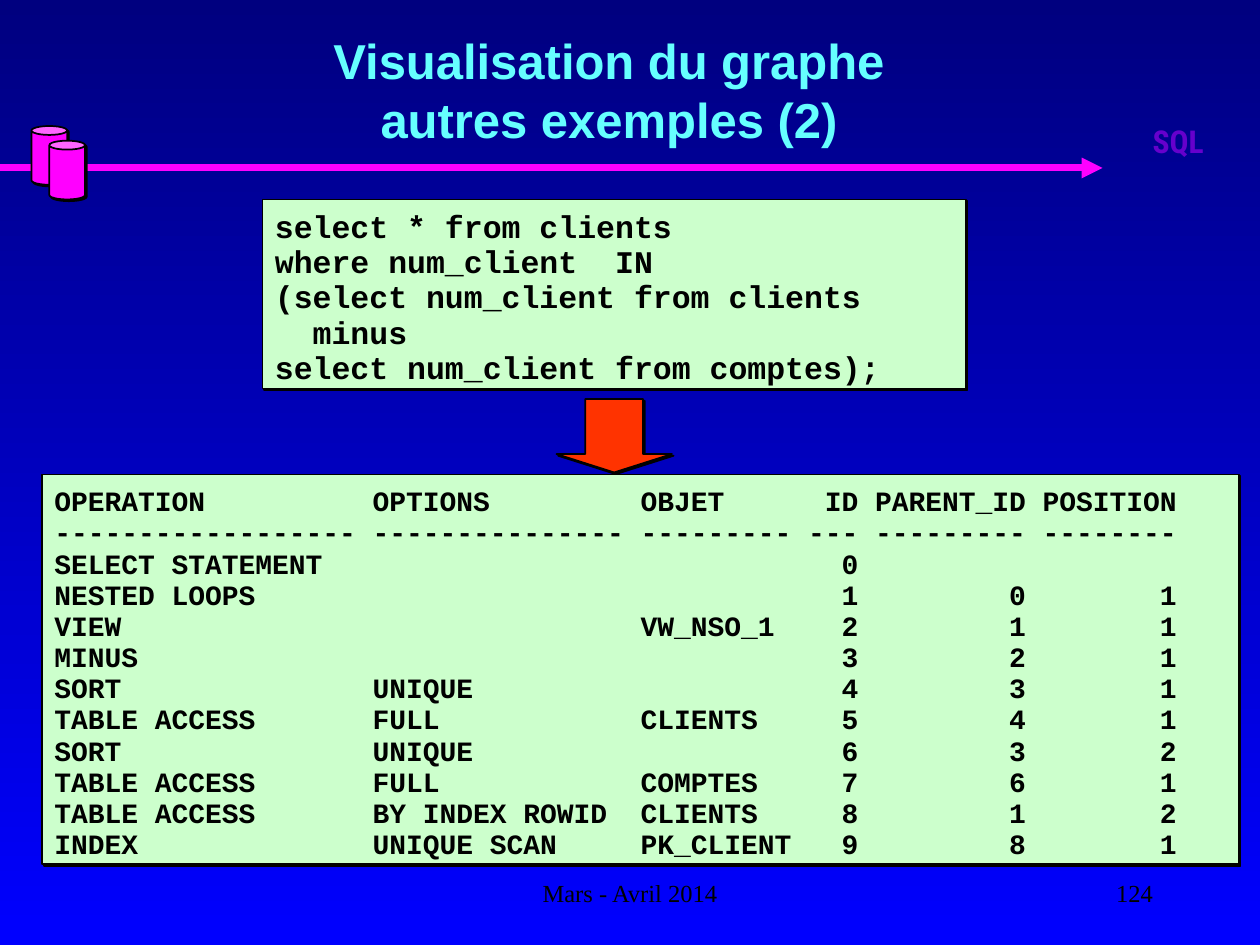
from lxml.etree import SubElement
from pptx import Presentation
from pptx.dml.color import RGBColor
from pptx.enum.shapes import MSO_CONNECTOR, MSO_SHAPE
from pptx.enum.text import MSO_ANCHOR, MSO_AUTO_SIZE, PP_ALIGN
from pptx.oxml.ns import qn
from pptx.util import Inches, Pt

COLORS = {
    "night": "00007F", "blue": "0000FF", "magenta": "FF00FF", "violet": "6600CC",
    "cyan": "66FFFF", "mint": "CCFFCC", "red": "FF3300", "black": "000000",
}
QUERY = [
    "select * from clients",
    "where num_client  IN",
    "(select num_client from clients",
    "  minus",
    "select num_client from comptes);",
]
PLAN_WIDTHS = [18, 15, 9, 3, 9, 8]
PLAN_ALIGN = "<<<>>>"
PLAN = [
    ("OPERATION", "OPTIONS", "OBJET", "ID", "PARENT_ID", "POSITION"),
    tuple("-" * width for width in PLAN_WIDTHS),
    ("SELECT STATEMENT", "", "", 0, "", ""),
    ("NESTED LOOPS", "", "", 1, 0, 1),
    ("VIEW", "", "VW_NSO_1", 2, 1, 1),
    ("MINUS", "", "", 3, 2, 1),
    ("SORT", "UNIQUE", "", 4, 3, 1),
    ("TABLE ACCESS", "FULL", "CLIENTS", 5, 4, 1),
    ("SORT", "UNIQUE", "", 6, 3, 2),
    ("TABLE ACCESS", "FULL", "COMPTES", 7, 6, 1),
    ("TABLE ACCESS", "BY INDEX ROWID", "CLIENTS", 8, 1, 2),
    ("INDEX", "UNIQUE SCAN", "PK_CLIENT", 9, 8, 1),
]


def plan_line(row):
    cells = zip(row, PLAN_ALIGN, PLAN_WIDTHS)
    return " ".join(f"{cell!s:{side}{width}}" for cell, side, width in cells).rstrip()


def color(name):
    return RGBColor.from_string(COLORS[name])


class SlideBuilder:
    columns, rows = 120, 90

    def __init__(self, deck):
        self.deck = deck
        self.page = deck.slides.add_slide(deck.slide_layouts[5])

    def place(self, left, top, width, height):
        column = self.deck.slide_width / self.columns
        row = self.deck.slide_height / self.rows
        return [round(left * column), round(top * row), round(width * column), round(height * row)]

    def background(self, top, bottom):
        fill = self.page.background.fill
        fill.gradient()
        fill.gradient_angle = 270
        for stop, name in zip(fill.gradient_stops, (top, bottom)):
            stop.color.rgb = color(name)

    def set_text(self, frame, lines, font, size, ink, bold=False, align=PP_ALIGN.LEFT, pitch=None):
        frame.text = "\n".join(lines)
        for para in frame.paragraphs:
            para.alignment = align
            if pitch:
                para.line_spacing = Pt(pitch)
            for span in para.runs:
                span.font.name = font
                span.font.size = Pt(size)
                span.font.bold = bold
                span.font.color.rgb = color(ink)

    def title(self, text, *cells):
        box = self.page.shapes.title
        box.left, box.top, box.width, box.height = self.place(*cells)
        frame = box.text_frame
        self.set_text(frame, [text], "Arial", 28, "cyan", True, PP_ALIGN.CENTER)
        frame.vertical_anchor = MSO_ANCHOR.MIDDLE
        frame.auto_size = MSO_AUTO_SIZE.NONE

    def label(self, text, *cells, anchor=MSO_ANCHOR.MIDDLE, **style):
        frame = self.page.shapes.add_textbox(*self.place(*cells)).text_frame
        frame.word_wrap = False
        frame.vertical_anchor = anchor
        self.set_text(frame, [text], **style)

    def shape(self, kind, fill, *cells, adjustments=()):
        box = self.page.shapes.add_shape(kind, *self.place(*cells))
        for index, value in enumerate(adjustments):
            box.adjustments[index] = value
        box.fill.solid()
        box.fill.fore_color.rgb = color(fill)
        box.line.color.rgb = color("black")
        box.line.width = Pt(1)
        box.shadow.inherit = False
        effects = box._element.spPr.find(qn("a:effectLst"))
        shadow = SubElement(effects, qn("a:outerShdw"), dist=str(Pt(1.4)), dir="2700000", algn="ctr")
        SubElement(shadow, qn("a:srgbClr"), val=COLORS["black"])
        return box

    def code(self, lines, size, pitch, *cells):
        frame = self.shape(MSO_SHAPE.RECTANGLE, "mint", *cells).text_frame
        frame.word_wrap = True
        frame.vertical_anchor = MSO_ANCHOR.MIDDLE
        frame.margin_top, frame.margin_bottom = Inches(0.09), Inches(0.03)
        self.set_text(frame, lines, "Courier New", size, "black", True, pitch=pitch)

    def arrow(self, left, right, row):
        start_x, y, length, _ = self.place(left, row, right - left, 0)
        line = self.page.shapes.add_connector(MSO_CONNECTOR.STRAIGHT, start_x, y, start_x + length, y)
        line.line.color.rgb = color("magenta")
        line.line.width = Pt(4)
        SubElement(line._element.spPr.find(qn("a:ln")), qn("a:tailEnd"), type="triangle")
        SubElement(line._element.spPr, qn("a:effectLst"))


def main():
    deck = Presentation()
    deck.slide_width, deck.slide_height = Inches(10), Inches(7.5)
    slide = SlideBuilder(deck)
    slide.background("night", "blue")
    slide.arrow(0, 105, 16)
    for left, top in ((3, 12), (4.7, 13.4)):
        slide.shape(MSO_SHAPE.CAN, "magenta", left, top, 3.4, 5.6, adjustments=[0.25])
    slide.label("SQL", 105.2, 11, 14, 9.4, anchor=MSO_ANCHOR.TOP, font="Roboto Condensed",
                size=18, ink="violet", bold=True, align=PP_ALIGN.CENTER)
    footer = {"font": "Times New Roman", "size": 14, "ink": "black"}
    slide.label("Mars - Avril 2014", 41, 82, 38, 6, align=PP_ALIGN.CENTER, **footer)
    slide.label("124", 86, 82, 25, 6, align=PP_ALIGN.RIGHT, **footer)
    slide.title("Visualisation du graphe\vautres exemples (2)", 5, 1, 106, 15)
    slide.code(QUERY, 18, 20, 25, 19, 67, 18)
    slide.code([plan_line(row) for row in PLAN], 16, 17.8, 4, 45.2, 114, 37.1)
    slide.shape(MSO_SHAPE.DOWN_ARROW, "red", 53, 38, 11, 7, adjustments=[0.5, 0.25])
    deck.save("out.pptx")


if __name__ == "__main__":
    main()
